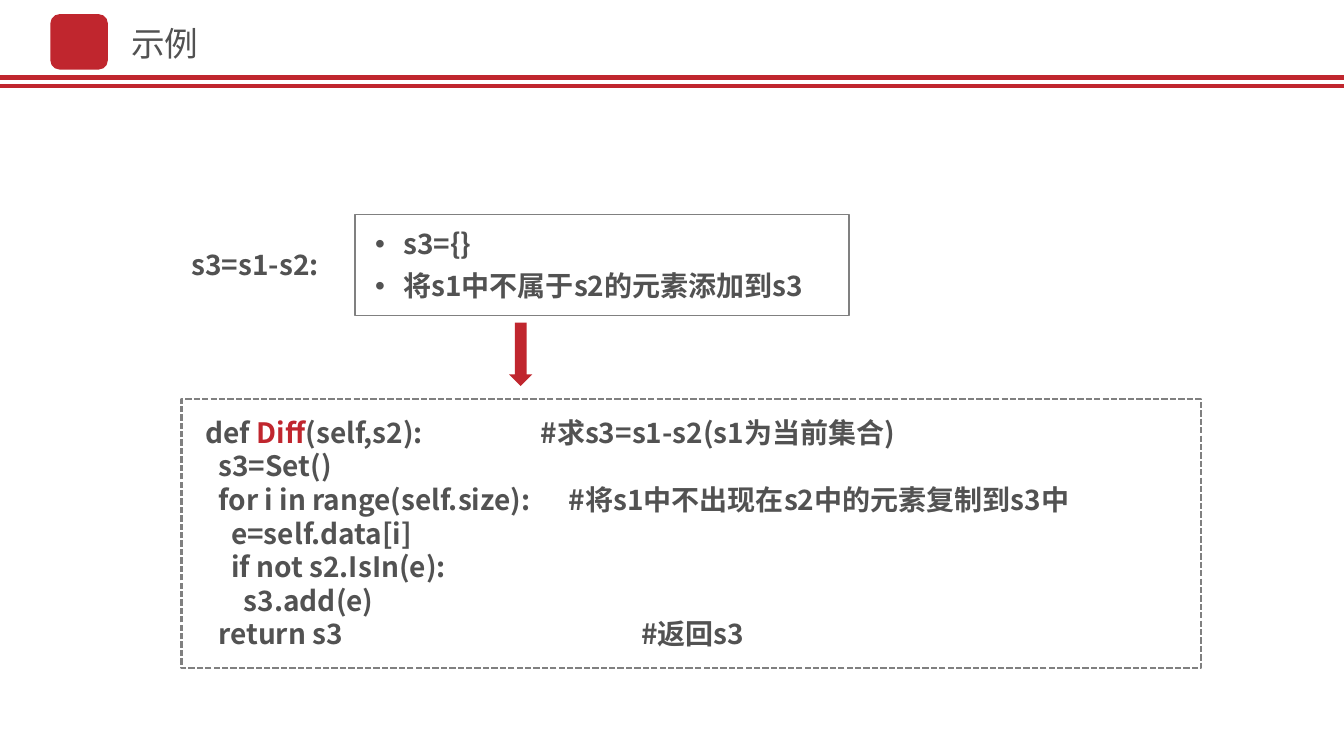
import dataclasses

import lxml.etree
import pptx
import pptx.dml.color
import pptx.enum.dml
import pptx.enum.shapes
import pptx.enum.text
import pptx.oxml.ns
import pptx.util

Inches = pptx.util.Inches
Pt = pptx.util.Pt
Shapes = pptx.enum.shapes.MSO_SHAPE
Anchor = pptx.enum.text.MSO_ANCHOR
qualified = pptx.oxml.ns.qn


@dataclasses.dataclass(frozen=True)
class Theme:
    """Colours, font and type sizes of the deck."""
    red: str = "C0262E"
    ink: str = "525252"
    grey: str = "808080"
    white: str = "FFFFFF"
    font: str = "Noto Sans CJK SC"
    title_size: int = 24
    body_size: int = 20


THEME = Theme()
WIDTH, HEIGHT = 13.33, 7.5

STEPS = ["s3={}", "将s1中不属于s2的元素添加到s3"]
CODE = [
    ([("def ", THEME.ink), ("Diff", THEME.red), ("(self,s2):", THEME.ink)],
     "#求s3=s1-s2(s1为当前集合)", 3.32),
    ([("  s3=Set()", THEME.ink)], "", 0),
    ([("  for i in range(self.size):", THEME.ink)],
     "#将s1中不出现在s2中的元素复制到s3中", 3.6),
    ([("    e=self.data[i]", THEME.ink)], "", 0),
    ([("    if not s2.IsIn(e):", THEME.ink)], "", 0),
    ([("      s3.add(e)", THEME.ink)], "", 0),
    ([("  return s3", THEME.ink)], "#返回s3", 4.32),
]


def rgb(color):
    """Turn a hex string into a colour."""
    return pptx.dml.color.RGBColor.from_string(color)


def add_span(para, text, color=THEME.ink, size=THEME.body_size, bold=True):
    """Add one formatted run to a paragraph."""
    span = para.add_run()
    span.text = text
    span.font.size = Pt(size)
    span.font.bold = bold
    span.font.color.rgb = rgb(color)
    span.font.name = THEME.font
    east_asian = lxml.etree.SubElement(span.font._element, qualified("a:ea"))
    east_asian.set("typeface", THEME.font)


def set_frame(frame, left=0.1, top=0.05, anchor=Anchor.TOP, wrap=True):
    """Set the insets, anchor and wrapping of a text frame."""
    frame.auto_size = pptx.enum.text.MSO_AUTO_SIZE.NONE
    frame.word_wrap = wrap
    frame.vertical_anchor = anchor
    frame.margin_left, frame.margin_right = Inches(left), Inches(0.1)
    frame.margin_top = frame.margin_bottom = Inches(top)


def next_para(frame, index):
    """Return the left-aligned paragraph that holds line number index."""
    para = frame.add_paragraph() if index else frame.paragraphs[0]
    para.alignment = pptx.enum.text.PP_ALIGN.LEFT
    return para


def add_plain_shape(page, kind, box, fill=None, line=None, weight=1):
    """Add a preset shape without shadow."""
    shape = page.shapes.add_shape(kind, *map(Inches, box))
    shape.shadow.inherit = False
    if fill:
        shape.fill.solid()
        shape.fill.fore_color.rgb = rgb(fill)
    else:
        shape.fill.background()
    if line:
        shape.line.color.rgb = rgb(line)
        shape.line.width = Pt(weight)
    else:
        shape.line.fill.background()
    return shape


def add_header(page, box, title):
    """Place the emblem, title and double rule of the header."""
    left, top, width, height = box
    for offset in (0.08, 0):
        y = Inches(top + height - offset)
        rule = page.shapes.add_connector(
            pptx.enum.shapes.MSO_CONNECTOR.STRAIGHT,
            Inches(left), y, Inches(left + width), y)
        rule.line.color.rgb = rgb(THEME.red)
        rule.line.width = Pt(3)
        lxml.etree.SubElement(rule._element.spPr, qualified("a:effectLst"))
    add_plain_shape(page, Shapes.ROUNDED_RECTANGLE,
                    (left + 0.5, top + 0.14, 0.57, 0.55), fill=THEME.red)
    holder = page.shapes.title
    holder.left, holder.top = Inches(left + 1.2), Inches(top + 0.18)
    holder.width, holder.height = Inches(0.89), Inches(0.5)
    set_frame(holder.text_frame, anchor=Anchor.MIDDLE, wrap=False)
    add_span(next_para(holder.text_frame, 0), title,
             size=THEME.title_size, bold=False)


def add_label(page, box, text):
    """Place the formula beside the steps."""
    label = page.shapes.add_textbox(*map(Inches, box))
    set_frame(label.text_frame)
    add_span(next_para(label.text_frame, 0), text)


def add_steps(page, box, steps):
    """Place the framed bullet list."""
    panel = add_plain_shape(page, Shapes.RECTANGLE, box, THEME.white, THEME.grey)
    set_frame(panel.text_frame, 0.2, 0.12)
    for index, step in enumerate(steps):
        para = next_para(panel.text_frame, index)
        para.space_before = Pt(6)
        properties = para._p.get_or_add_pPr()
        properties.set("marL", str(Inches(0.28)))
        properties.set("indent", str(Inches(-0.28)))
        font = lxml.etree.SubElement(properties, qualified("a:buFont"))
        font.set("typeface", "Arial")
        bullet = lxml.etree.SubElement(properties, qualified("a:buChar"))
        bullet.set("char", "•")
        add_span(para, step)


def add_code(page, box, lines):
    """Place the dashed code panel with comments at tab stops."""
    panel = add_plain_shape(page, Shapes.RECTANGLE, box,
                            line=THEME.grey, weight=1.5)
    panel.line.dash_style = pptx.enum.dml.MSO_LINE.SQUARE_DOT
    panel.line._ln.find(qualified("a:prstDash")).set("val", "sysDash")
    set_frame(panel.text_frame, 0.24, 0.16)
    for index, (spans, comment, stop) in enumerate(lines):
        para = next_para(panel.text_frame, index)
        for text, color in spans:
            add_span(para, text, color)
        if comment:
            stops = lxml.etree.SubElement(para._p.get_or_add_pPr(),
                                          qualified("a:tabLst"))
            tab = lxml.etree.SubElement(stops, qualified("a:tab"))
            tab.set("pos", str(Inches(stop)))
            tab.set("algn", "l")
            add_span(para, "\t" + comment)


def main():
    """Build the slide and save the deck."""
    deck = pptx.Presentation()
    deck.slide_width, deck.slide_height = Inches(WIDTH), Inches(HEIGHT)
    page = deck.slides.add_slide(deck.slide_layouts.get_by_name("Title Only"))
    add_header(page, (0, 0, WIDTH, 0.85), "示例")
    add_code(page, (1.8, 3.96, 10.11, 2.67), CODE)
    add_steps(page, (3.52, 2.13, 4.9, 1), STEPS)
    add_label(page, (1.8, 2.41, 2.19, 0.44), "s3=s1-s2:")
    add_plain_shape(page, Shapes.DOWN_ARROW, (5.05, 3.2, 0.23, 0.63),
                    fill=THEME.red)
    deck.save("out.pptx")


if __name__ == "__main__":
    main()
